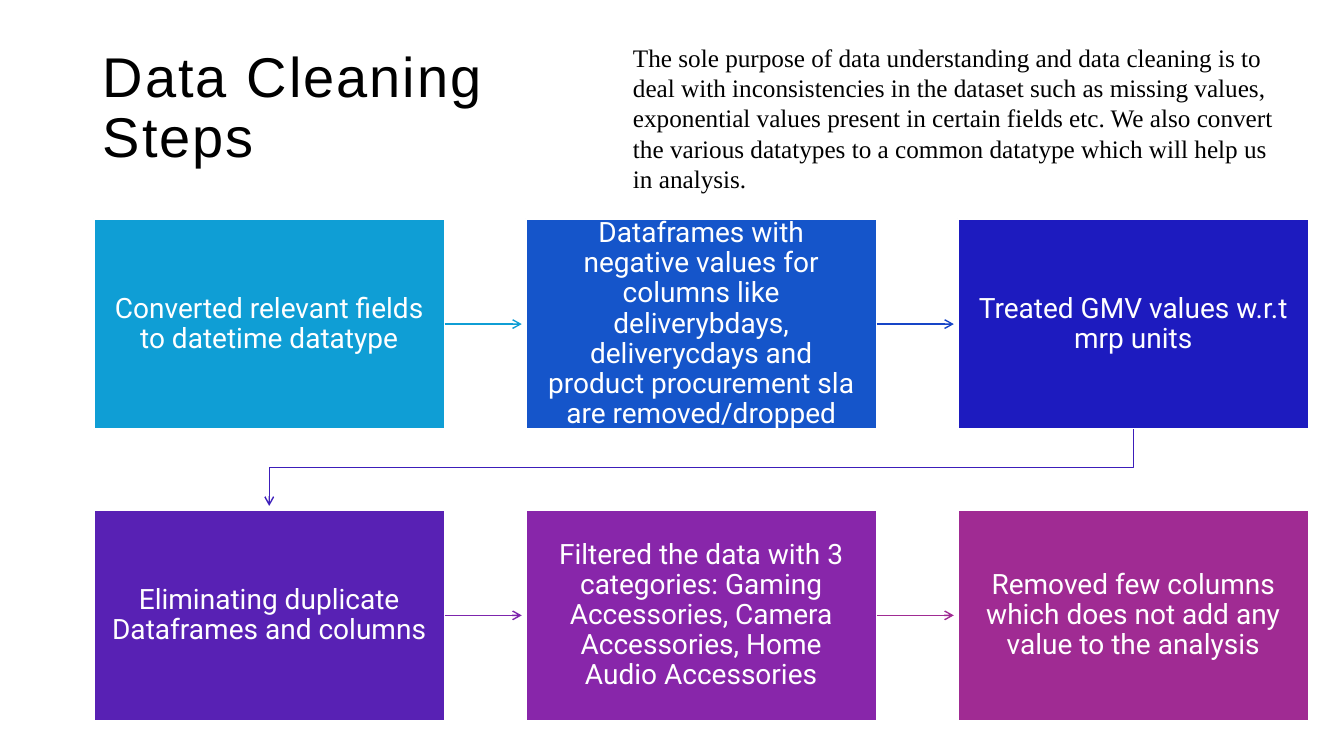
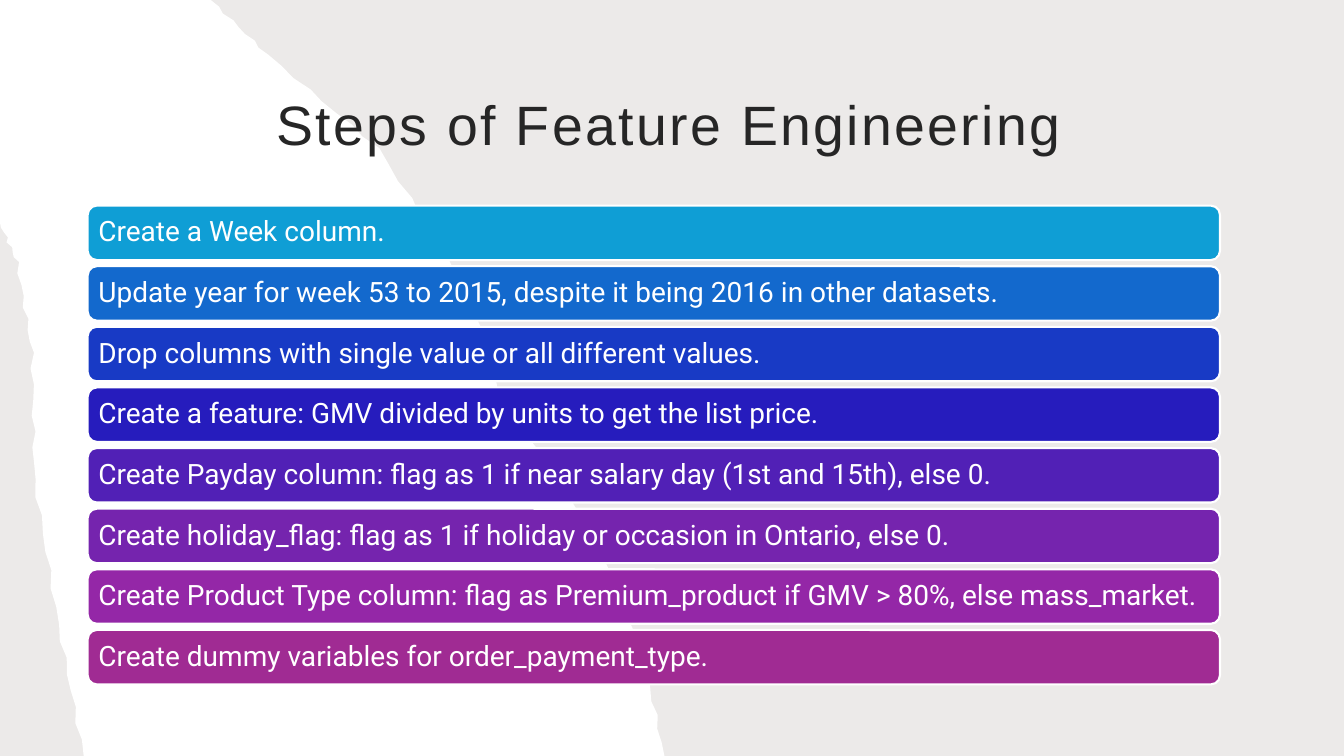
import math

from lxml import etree
from pptx import Presentation
from pptx.dml.color import RGBColor
from pptx.enum.shapes import MSO_CONNECTOR, MSO_SHAPE
from pptx.enum.text import MSO_ANCHOR, PP_ALIGN
from pptx.oxml.ns import qn
from pptx.util import Inches, Pt

RECT, ROUNDED = MSO_SHAPE.RECTANGLE, MSO_SHAPE.ROUNDED_RECTANGLE
STRAIGHT, ELBOW = MSO_CONNECTOR.STRAIGHT, MSO_CONNECTOR.ELBOW
TOP, MIDDLE, BOTTOM = MSO_ANCHOR.TOP, MSO_ANCHOR.MIDDLE, MSO_ANCHOR.BOTTOM
LEFT, CENTER = PP_ALIGN.LEFT, PP_ALIGN.CENTER
RIGHT_SIDE = 3

WHITE, BLACK, CHARCOAL, SAND = "FFFFFF", "000000", "262626", "ECEAE9"
TITLE = dict(font="Arial", spacing=0.9)
STEP = dict(font="Roboto", size=20, color=WHITE, spacing=0.9, anchor=MIDDLE)
SLIDE_W, SLIDE_H = 13.33, 7.5
rgb = RGBColor.from_string


def add_text(s, box, text, shape=None, fill=None, font="Arial", size=18, color=BLACK,
             align=LEFT, anchor=TOP, spacing=1.0, before=0, tracking=0, insets=(0.1, 0.05)):
    box = [Inches(v) for v in box]
    if shape is None:
        sp = s.shapes.add_textbox(*box)
    else:
        sp = s.shapes.add_shape(shape, *box)
        sp.shadow.inherit = False
        sp.fill.solid()
        sp.fill.fore_color.rgb = rgb(fill)
        sp.line.color.rgb = rgb(WHITE)
        sp.line.width = Pt(1.5)
    tf = sp.text_frame
    tf.word_wrap = True
    tf.vertical_anchor = anchor
    tf.margin_left = tf.margin_right = Inches(insets[0])
    tf.margin_top = tf.margin_bottom = Inches(insets[1])
    p = tf.paragraphs[0]
    p.alignment, p.line_spacing, p.space_before = align, spacing, Pt(before)
    r = p.add_run()
    r.text = text
    r.font.name, r.font.size, r.font.color.rgb = font, Pt(size), rgb(color)
    if tracking:
        r.font._element.set("spc", str(round(tracking * 100)))
    return sp


def add_arrow(s, kind, x1, y1, x2, y2, color):
    cx = s.shapes.add_connector(kind, Inches(x1), Inches(y1), Inches(x2), Inches(y2))
    cx.line.color.rgb = rgb(color)
    cx.line.width = Pt(1)
    etree.SubElement(cx.line._get_or_add_ln(), qn("a:tailEnd"), type="arrow")
    etree.SubElement(cx._element.spPr, qn("a:effectLst"))
    return cx


prs = Presentation()
prs.slide_width, prs.slide_height = Inches(SLIDE_W), Inches(SLIDE_H)
blank = prs.slide_layouts[6]

s = prs.slides.add_slide(blank)
add_text(s, (0.92, 0.37, 5.27, 1.43), "Data Cleaning Steps", size=40, anchor=MIDDLE,
         tracking=1.5, **TITLE)
add_text(s, (6.18, 0.37, 6.67, 1.62),
         "The sole purpose of data understanding and data cleaning is to deal with "
         "inconsistencies in the dataset such as missing values, exponential values present "
         "in certain fields etc. We also convert the various datatypes to a common datatype "
         "which will help us in analysis.",
         font="Times New Roman", before=3.9)

cleaning_steps = [
    ("Converted relevant fields to datetime datatype", "0F9ED5", "0F9ED5"),
    ("Dataframes with negative values for columns like deliverybdays, deliverycdays and "
     "product procurement sla are removed/dropped", "1555CA", "1745C7"),
    ("Treated GMV values w.r.t mrp units", "1D1BBF", "3C1EBA"),
    ("Eliminating duplicate Dataframes and columns", "5821B4", "7D25AD"),
    ("Filtered the data with 3 categories: Gaming Accessories, Camera Accessories, "
     "Home Audio Accessories", "8826AA", "A02B93"),
    ("Removed few columns which does not add any value to the analysis", "A02B93", None),
]
columns = 3
box_left, box_top, box_w, box_h = 0.93, 2.17, 3.48, 2.09
last_left, last_top = 9.5, 5.06
col_pitch = (last_left - box_left) / (columns - 1)
row_pitch = last_top - box_top
arrow_gap = 0.04
for i, (text, fill, arrow_color) in enumerate(cleaning_steps):
    row, col = divmod(i, columns)
    x, y = box_left + col * col_pitch, box_top + row * row_pitch
    sp = add_text(s, (x, y, box_w, box_h), text, RECT, fill, align=CENTER,
                  insets=(0.17, 0.18), **STEP)
    if col < columns - 1:
        mid_y = y + box_h / 2
        cx = add_arrow(s, STRAIGHT, x + box_w, mid_y, x + col_pitch - arrow_gap, mid_y,
                       arrow_color)
        cx.begin_connect(sp, RIGHT_SIDE)
    elif arrow_color:
        drop, run = row_pitch - box_h - arrow_gap, x - box_left
        mid_x, mid_y = x + box_w / 2 - run / 2, y + box_h + drop / 2
        cx = add_arrow(s, ELBOW, mid_x - drop / 2, mid_y - run / 2,
                       mid_x + drop / 2, mid_y + run / 2, arrow_color)
        cx._element.spPr.find(qn("a:xfrm")).set("rot", "5400000")

s = prs.slides.add_slide(blank)
s.background.fill.solid()
s.background.fill.fore_color.rgb = rgb(SAND)

right_tear = [(2.09, 0), (2.65, 0.54), (3.75, 1.47), (4.6, 2.79), (5, 4), (5.84, 5.21),
              (6.36, 6.42), (6.59, SLIDE_H)]
left_tear = [(0.83, SLIDE_H), (0.58, 6.2), (0.34, 4.75), (0.32, 3.5), (0.17, 2.6), (0, 2.21)]
teeth, roughness = 8, 0.02
fb = s.shapes.build_freeform(0, 0)
for tear in (right_tear, left_tear):
    torn_points = []
    for (x1, y1), (x2, y2) in zip(tear, tear[1:]):
        for tooth in range(teeth):
            t = tooth / teeth
            wobble = roughness * math.sin(2.4 * len(torn_points))
            torn_points.append((x1 + t * (x2 - x1) + wobble, y1 + t * (y2 - y1)))
    torn_points.append(tear[-1])
    fb.add_line_segments([(Inches(x), Inches(y)) for x, y in torn_points],
                         close=tear is left_tear)
paper = fb.convert_to_shape()
paper.shadow.inherit = False
paper.fill.solid()
paper.fill.fore_color.rgb = rgb(WHITE)
paper.line.fill.background()

add_text(s, (2.13, 0.51, 9.01, 1.1), "Steps of Feature Engineering", size=39.6,
         color=CHARCOAL, align=CENTER, anchor=BOTTOM, tracking=1.7, **TITLE)

feature_steps = [
    ("Create a Week column.", "0F9ED5"),
    ("Update year for week 53 to 2015, despite it being 2016 in other datasets.", "1369CD"),
    ("Drop columns with single value or all different values.", "183AC5"),
    ("Create a feature: GMV divided by units to get the list price.", "261CBD"),
    ("Create Payday column: flag as 1 if near salary day (1st and 15th), else 0.", "5120B6"),
    ("Create holiday_flag: flag as 1 if holiday or occasion in Ontario, else 0.", "7524AE"),
    ("Create Product Type column: flag as Premium_product if GMV > 80%, else mass_market.",
     "9427A7"),
    ("Create dummy variables for order_payment_type.", "A02B93"),
]
bar_left, bar_w, bar_h = 0.87, 11.23, 0.54
first_top, last_top = 2.04, 6.25
bar_pitch = (last_top - first_top) / (len(feature_steps) - 1)
for i, (text, fill) in enumerate(feature_steps):
    add_text(s, (bar_left, first_top + i * bar_pitch, bar_w, bar_h), text, ROUNDED, fill,
             insets=(0.08, 0.08), **STEP)

prs.save("out.pptx")
